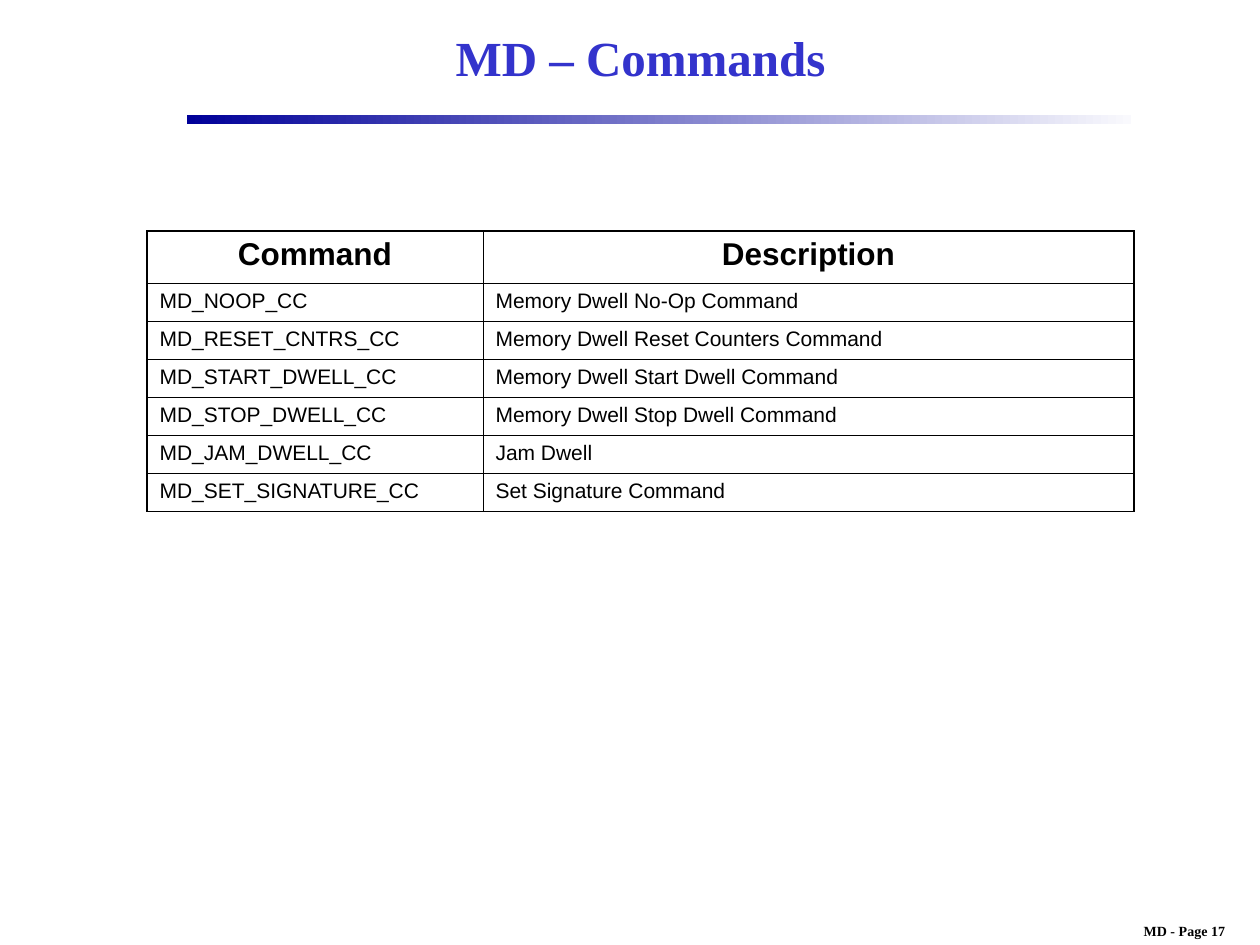
from lxml.etree import SubElement
from pptx import Presentation
from pptx.dml.color import RGBColor
from pptx.enum.shapes import MSO_SHAPE
from pptx.enum.text import MSO_ANCHOR, PP_ALIGN
from pptx.oxml.ns import qn
from pptx.util import Emu, Pt

PX = 914400 / 126
SERIF, SANS = "Times New Roman", "Arial"
THICK, THIN = 1.08, 0.45

HEADER = ("Command", "Description")
COMMANDS = [
    ("MD_NOOP_CC", "Memory Dwell No-Op Command"),
    ("MD_RESET_CNTRS_CC", "Memory Dwell Reset Counters Command"),
    ("MD_START_DWELL_CC", "Memory Dwell Start Dwell Command"),
    ("MD_STOP_DWELL_CC", "Memory Dwell Stop Dwell Command"),
    ("MD_JAM_DWELL_CC", "Jam Dwell"),
    ("MD_SET_SIGNATURE_CC", "Set Signature Command"),
]


def px(n):
    return Emu(round(n * PX))


def rgb(color):
    return RGBColor.from_string(color)


def write(tf, text, size, font, color="000000", bold=False, align=PP_ALIGN.LEFT):
    p = tf.paragraphs[0]
    p.alignment = align
    r = p.add_run()
    r.text = text
    r.font.size, r.font.name, r.font.bold = Pt(size), font, bold
    r.font.color.rgb = rgb(color)


def set_borders(cell, **widths):
    tc_pr = cell._tc.get_or_add_tcPr()
    for i, side in enumerate("LRTB"):
        ln = SubElement(tc_pr, qn(f"a:ln{side}"), w=str(Pt(widths[side])))
        fill = SubElement(ln, qn("a:solidFill"))
        SubElement(fill, qn("a:srgbClr"), val="000000")
        tc_pr.insert(i, ln)  # borders come before the cell fill


def add_title(slide, x, y, w, h):
    sp = slide.shapes.title
    sp.left, sp.top, sp.width, sp.height = map(px, (x, y, w, h))
    sp.text_frame.vertical_anchor = MSO_ANCHOR.MIDDLE
    write(sp.text_frame, "MD – Commands", 28, SERIF, "3333CC", True, PP_ALIGN.CENTER)


def add_rule(slide, x, y, w, h):
    sp = slide.shapes.add_shape(MSO_SHAPE.RECTANGLE, *map(px, (x, y, w, h)))
    sp.shadow.inherit = False
    sp.line.fill.background()
    sp.fill.gradient()
    sp.fill.gradient_angle = 0
    for stop, color in zip(sp.fill.gradient_stops, ("000099", "F9F9FD")):
        stop.color.rgb = rgb(color)


def add_command_table(slide, x, y, col_widths, header_h, row_h):
    rows = [HEADER, *COMMANDS]
    heights = [header_h] + [row_h] * len(COMMANDS)
    box = (x, y, sum(col_widths), sum(heights))
    table = slide.shapes.add_table(len(rows), len(HEADER), *map(px, box)).table
    table.first_row = table.horz_banding = False
    for col, width in zip(table.columns, col_widths):
        col.width = px(width)
    for i, (row, height) in enumerate(zip(rows, heights)):
        table.rows[i].height = px(height)
        for j, text in enumerate(row):
            cell = table.cell(i, j)
            cell.fill.background()
            if i == 0:
                write(cell.text_frame, text, 18, SANS, bold=True, align=PP_ALIGN.CENTER)
            else:
                write(cell.text_frame, text, 12, SANS)
            set_borders(
                cell,
                L=THICK if j == 0 else THIN,
                R=THICK if j == len(row) - 1 else THIN,
                T=THICK if i == 0 else THIN,
                B=THIN,
            )


def add_page_label(slide, x, y, w, h):
    tf = slide.shapes.add_textbox(*map(px, (x, y, w, h))).text_frame
    tf.word_wrap = False
    write(tf, "MD - Page 17", 8, SERIF, bold=True, align=PP_ALIGN.CENTER)


def main():
    prs = Presentation()
    prs.slide_width, prs.slide_height = px(1260), px(945)
    slide = prs.slides.add_slide(prs.slide_layouts[5])
    add_page_label(slide, 1109, 916, 151, 29)
    add_rule(slide, 187, 115, 944, 9)
    add_title(slide, 189, 10, 903, 94)
    add_command_table(slide, 147, 231, (336, 651), 52, 38)
    prs.save("out.pptx")


if __name__ == "__main__":
    main()
